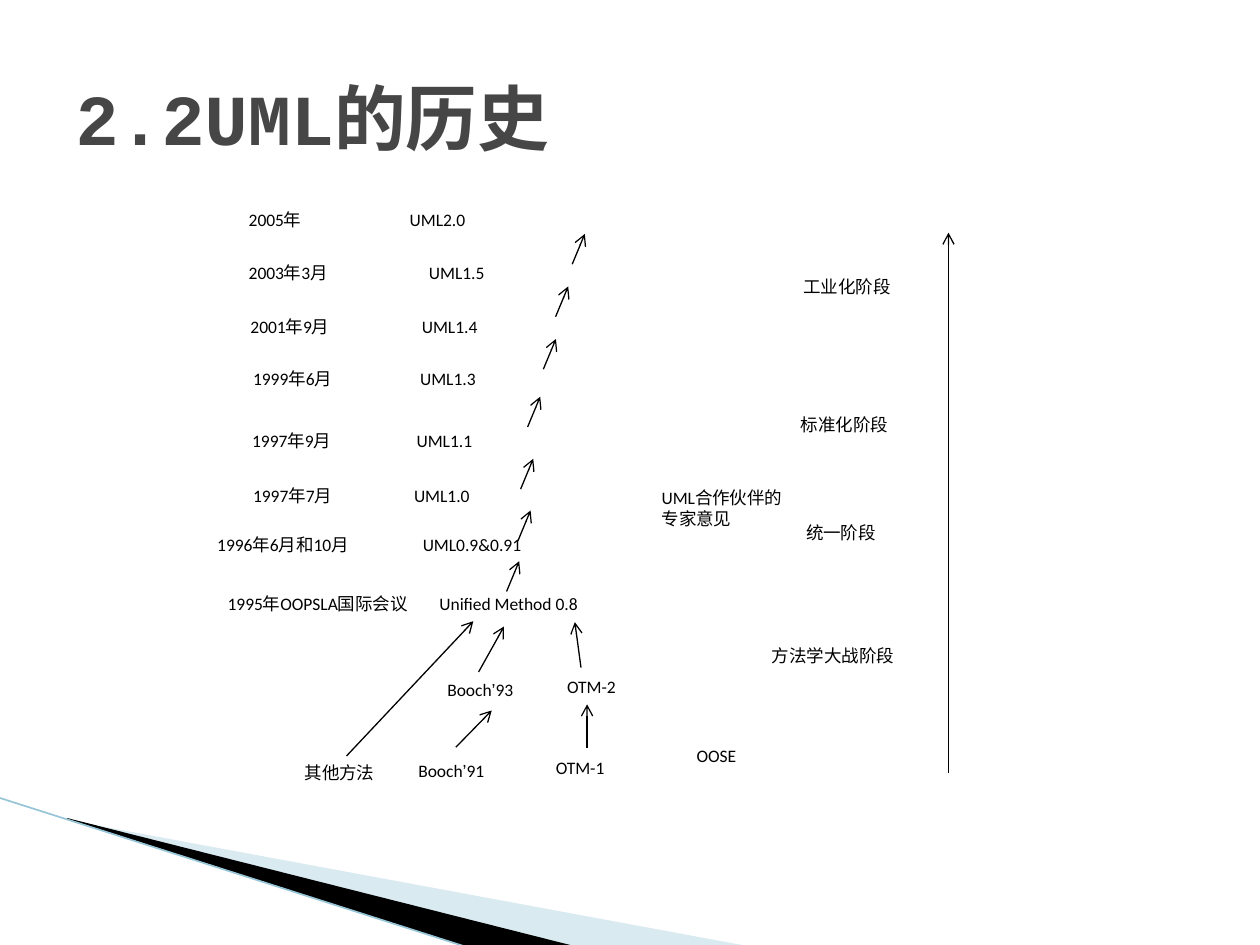
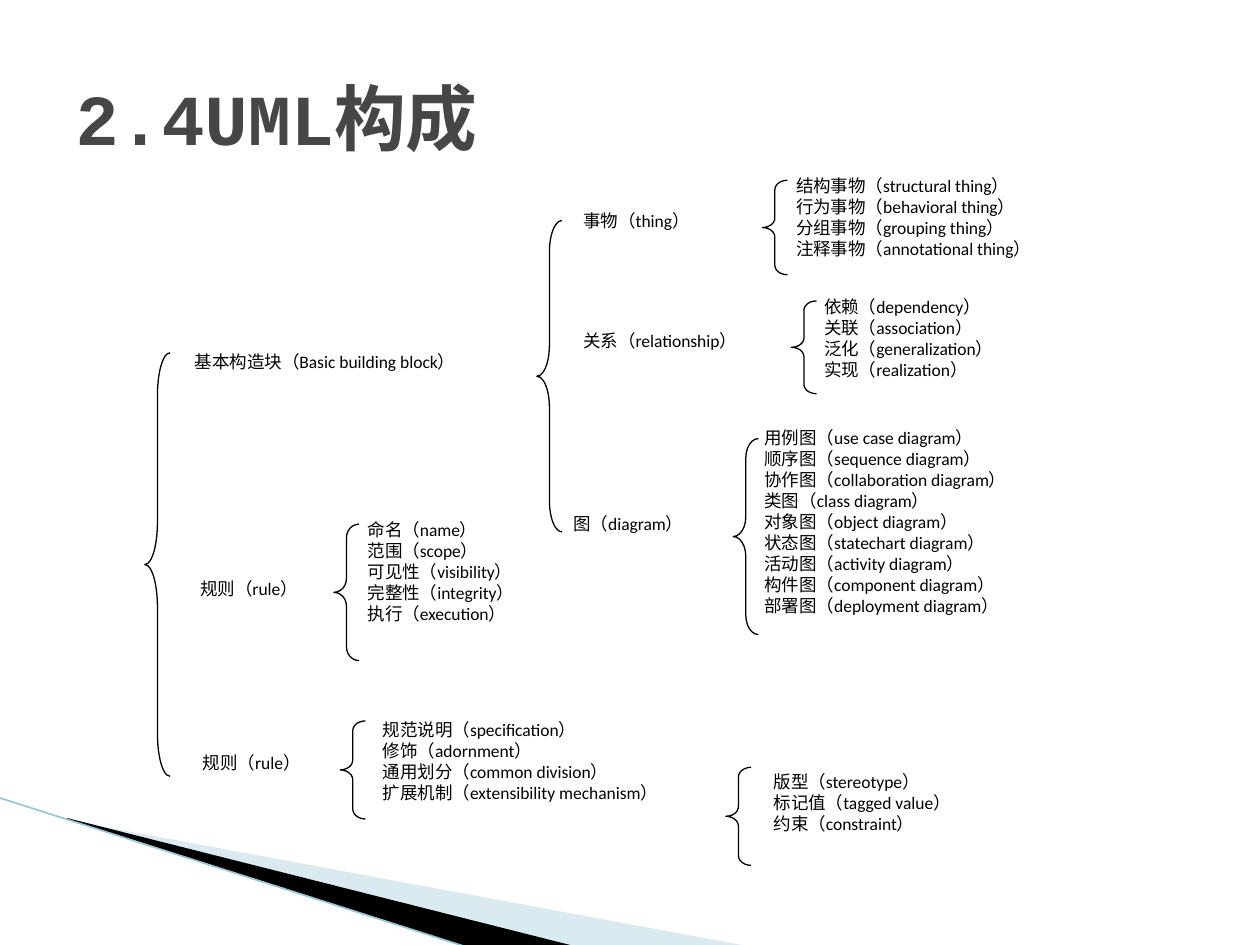
from pptx import Presentation
from pptx.dml.color import RGBColor
from pptx.enum.shapes import MSO_CONNECTOR as Link, MSO_SHAPE as Preset
from pptx.enum.text import MSO_ANCHOR as Anchor, MSO_AUTO_SIZE as AutoSize, PP_ALIGN as Align
from pptx.oxml.ns import qn
from pptx.util import Pt
from lxml.etree import SubElement

COLORS = {
    "ink": "000000",
    "title": "464646",
    "pale wedge": "A0CBDC",
    "dark wedge": "000000",
    "edge": "97C5D8",
}
BODY_FONT, TITLE_FONT, QUOTE_FONT = "Calibri", "Courier New", "Arial"
TITLE_BOX = (36, 21.6, 648, 90)
BRACE_WIDTH = 14.4
STEP = (7.2, -17.3)


def color(key):
    return RGBColor.from_string(COLORS[key])


def write(frame, text, size=10, font=BODY_FONT, ink="ink", bold=False,
          anchor=Anchor.TOP, tab=None):
    frame.word_wrap = True
    frame.auto_size = AutoSize.NONE
    frame.vertical_anchor = anchor
    for index, line in enumerate(text.split("\n")):
        paragraph = frame.add_paragraph() if index else frame.paragraphs[0]
        paragraph.alignment = Align.LEFT
        if tab:
            stops = SubElement(paragraph._p.get_or_add_pPr(), qn("a:tabLst"))
            SubElement(stops, qn("a:tab"), pos=str(Pt(tab)), algn="l")
        before, quote, after = line.partition("’")
        for piece, face in ((before, font), (quote, QUOTE_FONT), (after, font)):
            if piece:
                run = paragraph.add_run()
                run.text = piece
                run.font.name = face
                run.font.size = Pt(size)
                run.font.bold = bold
                run.font.color.rgb = color(ink)


def label(slide, x, y, width, height, text, **look):
    box = slide.shapes.add_textbox(Pt(x), Pt(y), Pt(width), Pt(height))
    write(box.text_frame, text, **look)


def line(slide, start, end, ink="ink", weight=0.75, arrow=True):
    connector = slide.shapes.add_connector(
        Link.STRAIGHT, *(Pt(value) for value in (*start, *end)))
    connector.line.color.rgb = color(ink)
    connector.line.width = Pt(weight)
    properties = connector._element.spPr
    if arrow:
        SubElement(properties.find(qn("a:ln")), qn("a:tailEnd"), type="arrow")
    SubElement(properties, qn("a:effectLst"))


def wedge(slide, points, fill, opacity=100):
    first, *others = [(Pt(x), Pt(y)) for x, y in points]
    outline = slide.shapes.build_freeform(*first)
    outline.add_line_segments(others, close=True)
    shape = outline.convert_to_shape()
    shape.shadow.inherit = False
    shape.fill.solid()
    shape.fill.fore_color.rgb = color(fill)
    shape.line.fill.background()
    if opacity < 100:
        tone = shape._element.spPr.find(qn("a:solidFill"))[0]
        SubElement(tone, qn("a:alpha"), val=str(opacity * 1000))


def corner(slide, x, y):
    wedge(slide, [(x + 39.6, y + 13), (x + 428.4, y + 85), (x + 328.3, y + 85),
                  (x + 39.6, y + 12.3)], "pale wedge", 40)
    wedge(slide, [(x + 38.2, y + 11.6), (x + 329, y + 85), (x + 267.8, y + 85.5),
                  (x + 38.9, y + 12.3)], "dark wedge")
    line(slide, (x - 0.7, y), (x + 267.1, y + 85.5), "edge", 0.95, arrow=False)


def new_slide(deck, heading):
    slide = deck.slides.add_slide(deck.slide_layouts[5])
    corner(slide, 0, 455.8)
    title = slide.shapes.title
    title.left, title.top, title.width, title.height = map(Pt, TITLE_BOX)
    write(title.text_frame, heading, size=41, font=TITLE_FONT, ink="title",
          bold=True, anchor=Anchor.MIDDLE)
    return slide


def versions(slide, x, y):
    releases = [
        (18, 0, 92, "2005年", "UML2.0"),
        (18, 30, 103, "2003年3月", "UML1.5"),
        (19, 61, 98, "2001年9月", "UML1.4"),
        (20.5, 91, 95.5, "1999年6月", "UML1.3"),
        (20, 126, 94, "1997年9月", "UML1.1"),
        (20.5, 157.5, 92, "1997年7月", "UML1.0"),
        (0, 185.5, 117.5, "1996年6月和10月", "UML0.9&0.91"),
        (6, 219.5, 121, "1995年OOPSLA国际会议", "Unified Method 0.8"),
    ]
    for dx, dy, tab, date, version in releases:
        label(slide, x + dx, y + dy, 300, 20, f"{date}\t{version}", tab=tab)
    upgrades = [(210, 35), (200.5, 65), (193.5, 95), (184.5, 128),
                (180.5, 163.5), (179, 193), (172.5, 222)]
    for dx, dy in upgrades:
        start = (x + dx, y + dy)
        line(slide, start, (start[0] + STEP[0], start[1] + STEP[1]))


def origins(slide, x, y):
    methods = [
        (204, -108, 88, 37, "UML合作伙伴的专家意见"),
        (224, 39, 55, 22, "OOSE"),
        (81.5, 1.5, 65, 22, "Booch’93"),
        (150, 0, 54, 22, "OTM-2"),
        (0, 49, 62, 22, "其他方法"),
        (65, 47.5, 83.5, 22, "Booch’91"),
        (143.5, 46, 54, 22, "OTM-1"),
    ]
    for dx, dy, width, height, method in methods:
        label(slide, x + dx, y + dy, width, height, method)
    influences = [
        (106.5, 1, 121, -25),
        (31, 49, 103.5, -28),
        (93.5, 44, 114, 23),
        (165, -1.5, 161.5, -27.5),
        (168.5, 44.5, 168.5, 19.5),
    ]
    for x1, y1, x2, y2 in influences:
        line(slide, (x + x1, y + y1), (x + x2, y + y2))


def phases(slide, x, y):
    line(slide, (x + 108, y + 309), (x + 108, y))
    stages = [(18, 21, "工业化阶段"), (16.5, 100, "标准化阶段"),
              (19.5, 162, "统一阶段"), (0, 232, "方法学大战阶段")]
    for dx, dy, stage in stages:
        label(slide, x + dx, y + dy, 98, 22, stage)


def terms(*pairs):
    return "\n".join(f"{chinese}（{english}）" for chinese, english in pairs)


def branch(slide, x, y, height, *members):
    brace = slide.shapes.add_shape(
        Preset.LEFT_BRACE, Pt(x), Pt(y), Pt(BRACE_WIDTH), Pt(height))
    brace.adjustments[0] = 0.1 * height / BRACE_WIDTH
    brace.shadow.inherit = False
    brace.fill.background()
    brace.line.color.rgb = color("ink")
    brace.line.width = Pt(0.75)
    for dx, dy, width, text in members:
        label(slide, x + dx, y + dy, width, 12 * (text.count("\n") + 1) + 15, text)


def structure(slide, x, y):
    branch(slide, x, y + 98.6, 242,
           (21.5, -4.3, 200, terms(("基本构造块", "Basic building block"))),
           (24.5, 125.4, 90, terms(("规则", "rule"))),
           (26, 224.6, 90, terms(("规则", "rule"))))
    branch(slide, x + 224, y + 23, 178,
           (19.5, -9.4, 90, terms(("事物", "thing"))),
           (19.5, 59, 136, terms(("关系", "relationship"))),
           (13.7, 163.4, 90, terms(("图", "diagram"))))
    branch(slide, x + 352.8, y, 54, (12.2, -6.5, 190, terms(
        ("结构事物", "structural thing"), ("行为事物", "behavioral thing"),
        ("分组事物", "grouping thing"), ("注释事物", "annotational thing"))))
    branch(slide, x + 369.4, y + 69, 53, (11.6, -6.5, 163, terms(
        ("依赖", "dependency"), ("关联", "association"),
        ("泛化", "generalization"), ("实现", "realization"))))
    branch(slide, x + 336.2, y + 147.6, 112, (10.8, -10.1, 207, terms(
        ("用例图", "use case diagram"), ("顺序图", "sequence diagram"),
        ("协作图", "collaboration diagram"), ("类图", "class diagram"),
        ("对象图", "object diagram"), ("状态图", "statechart diagram"),
        ("活动图", "activity diagram"), ("构件图", "component diagram"),
        ("部署图", "deployment diagram"))))
    branch(slide, x + 108, y + 196.5, 78, (12.2, -6.5, 138, terms(
        ("命名", "name"), ("范围", "scope"), ("可见性", "visibility"),
        ("完整性", "integrity"), ("执行", "execution"))))
    branch(slide, x + 111.6, y + 309, 56, (17.3, -4.5, 206, terms(
        ("规范说明", "specification"), ("修饰", "adornment"),
        ("通用划分", "common division"), ("扩展机制", "extensibility mechanism"))))
    branch(slide, x + 332, y + 335.5, 56, (20.2, -1.5, 137.5, terms(
        ("版型", "stereotype"), ("标记值", "tagged value"), ("约束", "constraint"))))


deck = Presentation()
deck.slide_width, deck.slide_height = Pt(720), Pt(540)

history = new_slide(deck, "2.2UML的历史")
versions(history, 117, 116)
origins(history, 167, 383)
phases(history, 434, 133)

composition = new_slide(deck, "2.4UML构成")
structure(composition, 82.8, 103)

deck.save("out.pptx")
